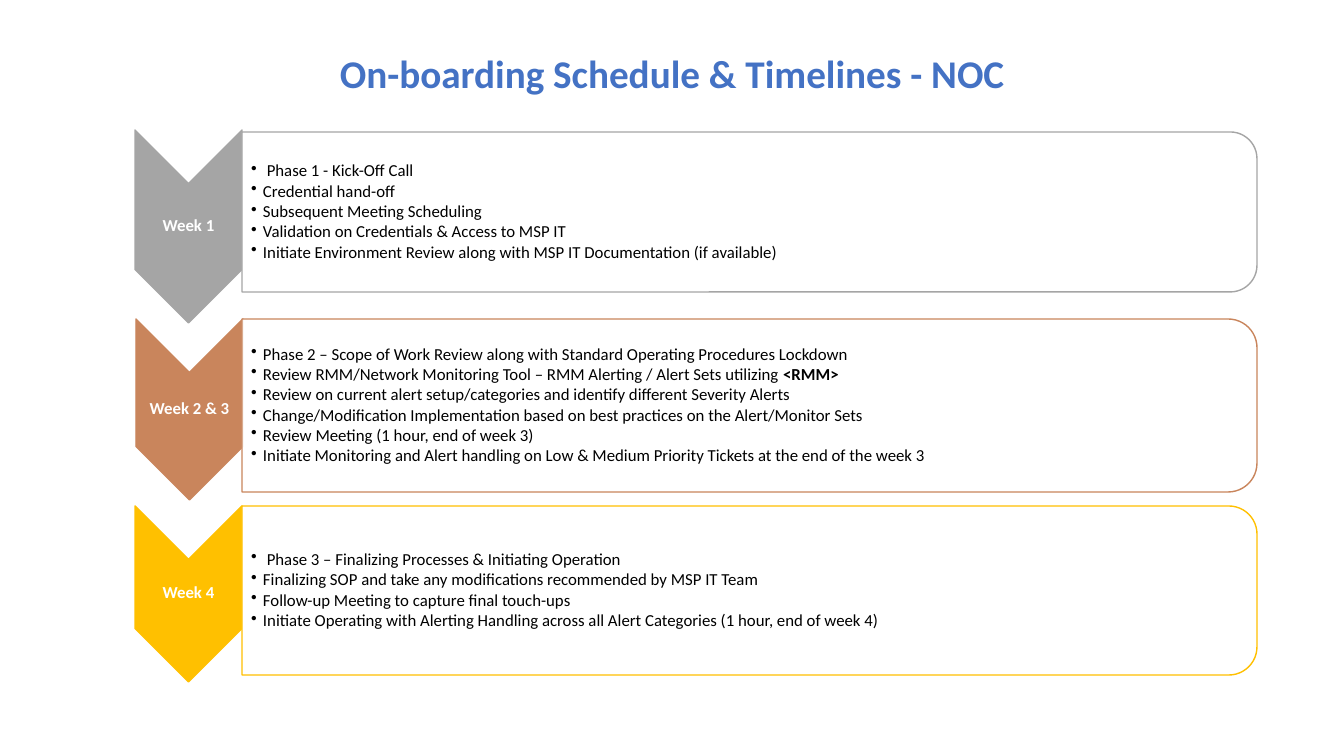
from dataclasses import dataclass

from lxml.etree import SubElement
from pptx import Presentation
from pptx.dml.color import RGBColor
from pptx.enum.shapes import MSO_SHAPE
from pptx.enum.text import MSO_ANCHOR, PP_ALIGN
from pptx.oxml.ns import qn
from pptx.shapes.autoshape import Shape
from pptx.slide import Slide
from pptx.text.text import _Paragraph
from pptx.util import Pt

EMU_PER_PX = 914400 / 100.8


@dataclass(frozen=True)
class Theme:
    font: str = "Calibri"
    title: str = "4472C4"
    ink: str = "000000"
    paper: str = "FFFFFF"
    grey: str = "A5A5A5"
    copper: str = "C9855C"
    gold: str = "FFC000"
    title_size: int = 28
    text_size: int = 12
    line_width: int = 1
    panel_alpha: int = 90


@dataclass(frozen=True)
class Box:
    left: int
    top: int
    width: int
    height: int


@dataclass(frozen=True)
class Bullet:
    text: str
    bold_tail: str = ""


@dataclass(frozen=True)
class Phase:
    label: str
    color: str
    chevron: Box
    panel: Box
    bullets: tuple[Bullet, ...]


THEME = Theme()
TITLE_BOX = Box(168, 50, 1008, 81)
PANEL_PAD = 8
BULLET_INDENT = 12

PHASES = (
    Phase("Week 1", THEME.grey, Box(135, 130, 107, 193), Box(242, 132, 1015, 160), (
        Bullet(" Phase 1 - Kick-Off Call"),
        Bullet("Credential hand-off"),
        Bullet("Subsequent Meeting Scheduling"),
        Bullet("Validation on Credentials & Access to MSP IT"),
        Bullet("Initiate Environment Review along with MSP IT Documentation (if available)"),
    )),
    Phase("Week 2 & 3", THEME.copper, Box(136, 319, 107, 181), Box(242, 319, 1015, 173), (
        Bullet("Phase 2 – Scope of Work Review along with Standard Operating Procedures Lockdown"),
        Bullet("Review RMM/Network Monitoring Tool – RMM Alerting / Alert Sets utilizing ", "<RMM>"),
        Bullet("Review on current alert setup/categories and identify different Severity Alerts"),
        Bullet("Change/Modification Implementation based on best practices on the Alert/Monitor Sets"),
        Bullet("Review Meeting (1 hour, end of week 3)"),
        Bullet("Initiate Monitoring and Alert handling on Low & Medium Priority Tickets "
               "at the end of the week 3"),
    )),
    Phase("Week 4", THEME.gold, Box(135, 506, 107, 176), Box(242, 506, 1015, 169), (
        Bullet(" Phase 3 – Finalizing Processes & Initiating Operation"),
        Bullet("Finalizing SOP and take any modifications recommended by MSP IT Team"),
        Bullet("Follow-up Meeting to capture final touch-ups"),
        Bullet("Initiate Operating with Alerting Handling across all Alert Categories "
               "(1 hour, end of week 4)"),
    )),
)


def px(n: float) -> int:
    return round(n * EMU_PER_PX)


def set_format(target: object, values: dict[str, object]) -> None:
    for name, value in values.items():
        setattr(target, name, value)


def add_turned_shape(s: Slide, kind: MSO_SHAPE, box: Box, fill: str, line: str) -> Shape:
    """Add a shape turned a quarter clockwise so that it covers box."""
    shift = (box.width - box.height) / 2
    sp = s.shapes.add_shape(kind, px(box.left + shift), px(box.top - shift),
                            px(box.height), px(box.width))
    sp.rotation = 90
    sp.shadow.inherit = False
    sp.fill.solid()
    sp.fill.fore_color.rgb = RGBColor.from_string(fill)
    sp.line.color.rgb = RGBColor.from_string(line)
    sp.line.width = Pt(THEME.line_width)
    return sp


def add_text_box(s: Slide, box: Box, frame: dict[str, object]) -> Shape:
    sp = s.shapes.add_textbox(px(box.left), px(box.top), px(box.width), px(box.height))
    set_format(sp.text_frame, {"word_wrap": True} | frame)
    return sp


def add_run(p: _Paragraph, text: str, size: int, color: str, bold: bool = False) -> None:
    r = p.add_run()
    r.text = text
    set_format(r.font, {"name": THEME.font, "size": Pt(size), "bold": bold})
    r.font.color.rgb = RGBColor.from_string(color)


def set_bullet(p: _Paragraph) -> None:
    pPr = p._p.get_or_add_pPr()
    pPr.set("marL", str(px(BULLET_INDENT)))
    pPr.set("indent", str(-px(BULLET_INDENT)))
    SubElement(pPr, qn("a:buChar")).set("char", "•")


def middle_frame(left_margin: int) -> dict[str, object]:
    return {"vertical_anchor": MSO_ANCHOR.MIDDLE, "margin_left": px(left_margin),
            "margin_right": px(1), "margin_top": px(1), "margin_bottom": px(1)}


def add_title(s: Slide, text: str) -> None:
    p = add_text_box(s, TITLE_BOX, {}).text_frame.paragraphs[0]
    set_format(p, {"alignment": PP_ALIGN.CENTER, "line_spacing": 0.9, "space_before": Pt(10)})
    add_run(p, text, THEME.title_size, THEME.title, bold=True)


def add_week(s: Slide, phase: Phase) -> None:
    box = phase.chevron
    add_turned_shape(s, MSO_SHAPE.CHEVRON, box, phase.color, phase.color)
    label = Box(box.left, box.top + box.width // 2, box.width, box.height - box.width)
    p = add_text_box(s, label, middle_frame(1)).text_frame.paragraphs[0]
    set_format(p, {"alignment": PP_ALIGN.CENTER, "line_spacing": 0.9, "space_after": Pt(4)})
    add_run(p, phase.label, THEME.text_size, THEME.paper, bold=True)


def add_panel(s: Slide, phase: Phase) -> None:
    box = phase.panel
    sp = add_turned_shape(s, MSO_SHAPE.ROUND_2_SAME_RECTANGLE, box, THEME.paper, phase.color)
    fill_color = sp._element.spPr.find(qn("a:solidFill"))[0]
    SubElement(fill_color, qn("a:alpha")).set("val", str(THEME.panel_alpha * 1000))
    body = Box(box.left, box.top + PANEL_PAD, box.width - PANEL_PAD, box.height - 2 * PANEL_PAD)
    tf = add_text_box(s, body, middle_frame(9)).text_frame
    for i, bullet in enumerate(phase.bullets):
        p = tf.add_paragraph() if i else tf.paragraphs[0]
        set_format(p, {"line_spacing": 0.9, "space_after": Pt(1.6)})
        set_bullet(p)
        add_run(p, bullet.text, THEME.text_size, THEME.ink)
        if bullet.bold_tail:
            add_run(p, bullet.bold_tail, THEME.text_size, THEME.ink, bold=True)


def main() -> None:
    prs = Presentation()
    set_format(prs, {"slide_width": px(1344), "slide_height": px(756)})
    s = prs.slides.add_slide(prs.slide_layouts[6])
    add_title(s, "On-boarding Schedule & Timelines - NOC")
    for phase in PHASES:
        add_week(s, phase)
        add_panel(s, phase)
    prs.save("out.pptx")


if __name__ == "__main__":
    main()
